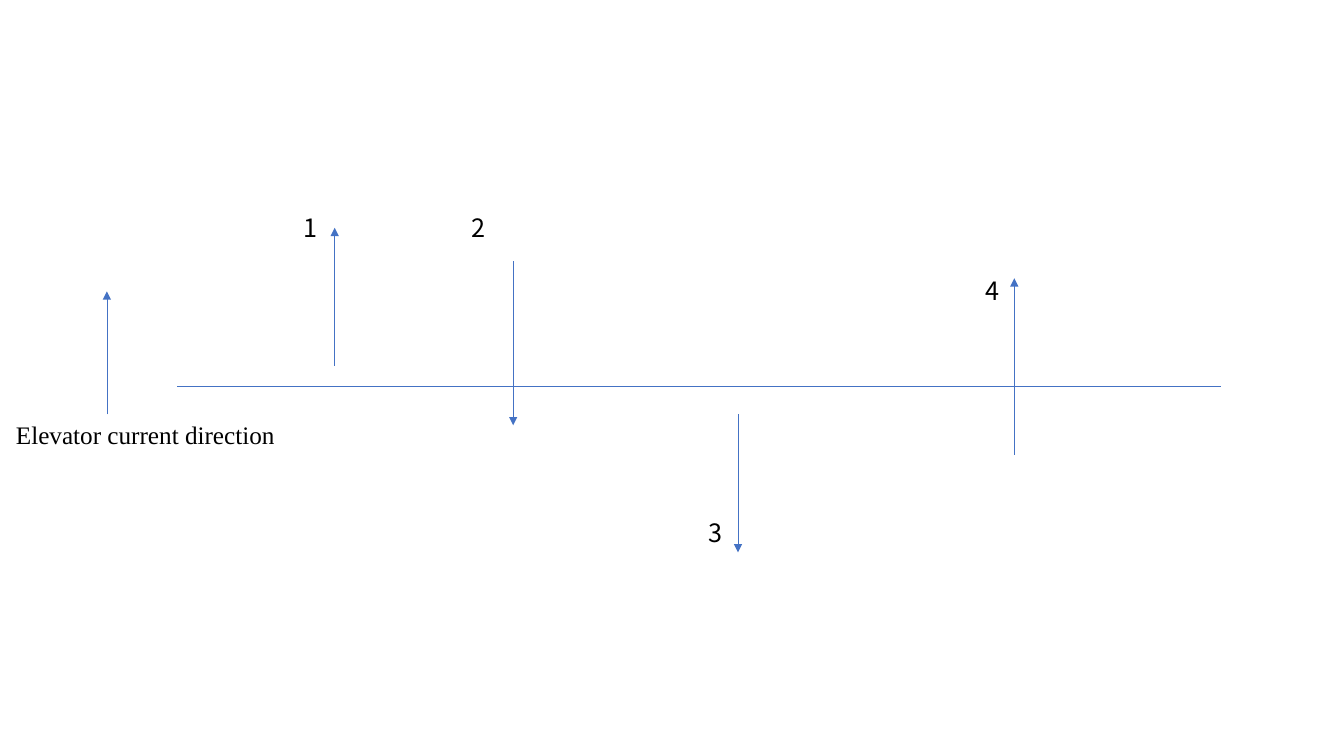
from lxml import etree
from pptx import Presentation
from pptx.dml.color import RGBColor
from pptx.enum.shapes import MSO_CONNECTOR
from pptx.enum.text import MSO_AUTO_SIZE
from pptx.oxml.ns import qn
from pptx.util import Inches, Pt

STRAIGHT = MSO_CONNECTOR.STRAIGHT
GROW = MSO_AUTO_SIZE.SHAPE_TO_FIT_TEXT
BLUE = RGBColor(0x44, 0x72, 0xC4)
BLACK = RGBColor(0, 0, 0)
SERIF, SANS = "Times New Roman", "Noto Sans CJK SC"

# Floor line: left, right, height on the slide
FLOOR = (1.76, 12.11, 3.83)
# Arrows: x, start y, tip y
ARROWS = [
    (1.06, 4.11, 2.89),
    (3.32, 3.63, 2.26),
    (5.09, 2.59, 4.22),
    (7.32, 4.11, 5.48),
    (10.06, 4.51, 2.76),
]
# Labels: text, left, top, width, font
LABELS = [
    ("Elevator current direction", 0.06, 4.11, 2.92, SERIF),
    ("1", 2.91, 2.06, 1, SANS),
    ("2", 4.58, 2.06, 1, SANS),
    ("3", 6.93, 5.08, 1, SANS),
    ("4", 9.68, 2.68, 1, SANS),
]


def add_line(slide, start, end, arrow=False):
    """Draw a thin blue line, with a head at its end if asked."""
    ends = [Inches(v) for v in (*start, *end)]
    line = slide.shapes.add_connector(STRAIGHT, *ends)
    line.line.color.rgb = BLUE
    line.line.width = Pt(0.5)
    if arrow:
        head = etree.SubElement(line.line._get_or_add_ln(), qn("a:tailEnd"))
        head.set("type", "triangle")
    etree.SubElement(line._element.spPr, qn("a:effectLst"))


def add_label(slide, text, left, top, width, font):
    """Write one label in a text box."""
    area = [Inches(v) for v in (left, top, width, 0.4)]
    frame = slide.shapes.add_textbox(*area).text_frame
    frame.word_wrap = True
    frame.auto_size = GROW
    run = frame.paragraphs[0].add_run()
    run.text = text
    run.font.name = font
    run.font.size = Pt(18)
    run.font.color.rgb = BLACK
    if font == SANS:
        east = etree.SubElement(run.font._element, qn("a:ea"))
        east.set("typeface", font)


deck = Presentation()
deck.slide_width, deck.slide_height = Inches(13.33), Inches(7.5)
slide = deck.slides.add_slide(deck.slide_layouts[6])

left, right, level = FLOOR
add_line(slide, (left, level), (right, level))
for x, start, tip in ARROWS:
    add_line(slide, (x, start), (x, tip), arrow=True)
for label in LABELS:
    add_label(slide, *label)

deck.save("out.pptx")
